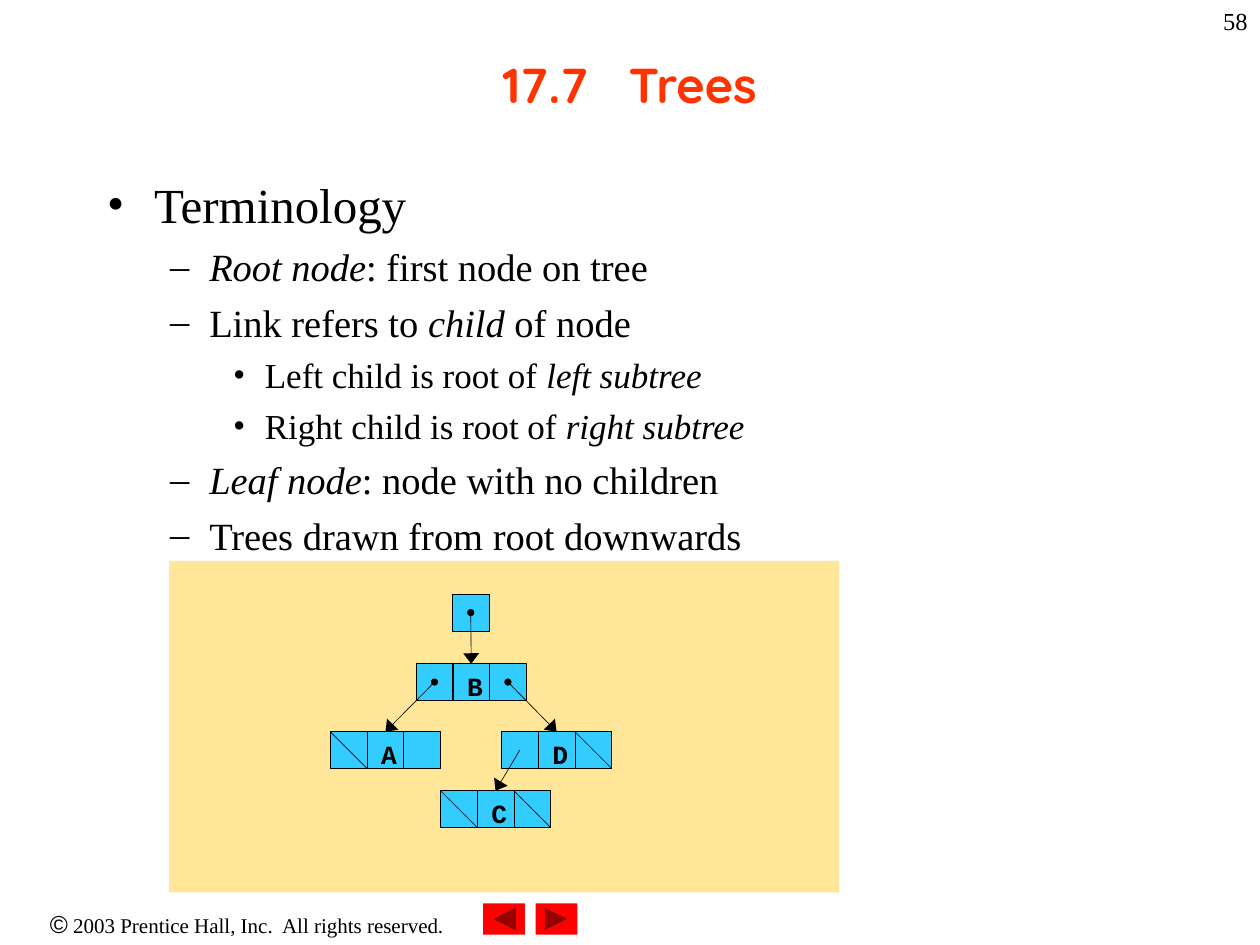
from dataclasses import dataclass
from math import hypot

from lxml.etree import SubElement
from pptx import Presentation
from pptx.dml.color import RGBColor as Color
from pptx.enum.shapes import MSO_CONNECTOR as Connector, MSO_SHAPE as Preset
from pptx.enum.text import MSO_ANCHOR as Anchor, MSO_AUTO_SIZE as AutoSize, PP_ALIGN as Align
from pptx.oxml.ns import qn
from pptx.util import Cm, Pt


@dataclass(frozen=True)
class Theme:
    black: Color = Color.from_string("000000")
    title: Color = Color.from_string("FF3300")
    panel: Color = Color.from_string("FFE699")
    cell: Color = Color.from_string("33CCFF")
    button: Color = Color.from_string("FF0000")
    serif: str = "Times New Roman"
    sans: str = "Arial"
    heading: str = "Quicksand"
    code: str = "Courier New"
    title_size: float = 28
    label_size: float = 15
    note_size: float = 14
    small_size: float = 12
    hairline: float = 0.37


@dataclass(frozen=True)
class Level:
    bullet: str
    margin: float
    hanging: float
    size: float
    space: float


@dataclass(frozen=True)
class TreeNode:
    """Three cells: left link, label, right link ("dot", "slash" or "")."""
    label: str
    left: float
    top: float
    links: tuple[str, str]


THEME = Theme()
CELL, DOT = 0.74, 0.13
HEAD_LENGTH, HEAD_HALF = 0.21, 0.16
LEVELS = (
    Level("•", 0.95, 0.95, 28, 0),
    Level("–", 2.06, 0.79, 22, 5.5),
    Level("•", 3.18, 0.64, 20, 5),
)
# Each line: level, then (text, italic) runs
OUTLINE = (
    (0, [("Terminology", False)]),
    (1, [("Root node", True), (": first node on tree", False)]),
    (1, [("Link refers to ", False), ("child", True), (" of node", False)]),
    (2, [("Left child is root of ", False), ("left subtree", True)]),
    (2, [("Right child is root of ", False), ("right subtree", True)]),
    (1, [("Leaf node", True), (": node with no children", False)]),
    (1, [("Trees drawn from root downwards", False)]),
)
ROOT_POINTER = (9.12, 11.98)
NODES = (
    TreeNode("B", 8.39, 13.38, ("dot", "dot")),
    TreeNode("A", 6.66, 14.75, ("slash", "")),
    TreeNode("D", 10.11, 14.75, ("", "slash")),
    TreeNode("C", 8.88, 15.94, ("slash", "slash")),
)
# Parent, side of its link cell, child
LINKS = (("B", 0, "A"), ("B", 2, "D"), ("D", 0, "C"))


def add_run(paragraph, text: str, font: str, size: float, color: Color = THEME.black,
            bold: bool = False, italic: bool = False) -> None:
    run = paragraph.add_run()
    run.text = text
    run.font.name, run.font.size = font, Pt(size)
    run.font.bold, run.font.italic = bold, italic
    run.font.color.rgb = color


def add_text_box(shapes, left: float, top: float, width: float, height: float,
                 align: Align, wrap: bool = True):
    box = shapes.add_textbox(Cm(left), Cm(top), Cm(width), Cm(height))
    box.text_frame.word_wrap = wrap
    box.text_frame.paragraphs[0].alignment = align
    return box.text_frame


def add_block(shapes, preset: Preset, left: float, top: float, width: float, height: float,
              fill: Color, outlined: bool = False):
    shape = shapes.add_shape(preset, Cm(left), Cm(top), Cm(width), Cm(height))
    shape.shadow.inherit = False
    shape.fill.solid()
    shape.fill.fore_color.rgb = fill
    if outlined:
        shape.line.color.rgb = THEME.black
        shape.line.width = Pt(THEME.hairline)
    else:
        shape.line.fill.background()
    return shape


def add_line(shapes, start: tuple[float, float], end: tuple[float, float]):
    line = shapes.add_connector(Connector.STRAIGHT, *(Cm(value) for value in (*start, *end)))
    line.line.color.rgb = THEME.black
    line.line.width = Pt(THEME.hairline)
    SubElement(line._element.spPr, qn("a:effectLst"))
    return line


def add_cell(shapes, left: float, top: float, content: str = ""):
    cell = add_block(shapes, Preset.RECTANGLE, left, top, CELL, CELL, THEME.cell, outlined=True)
    if content == "dot":
        inset = (CELL - DOT) / 2
        add_block(shapes, Preset.OVAL, left + inset, top + inset, DOT, DOT, THEME.black, outlined=True)
    elif content == "slash":
        add_line(shapes, (left, top), (left + CELL, top + CELL))
    return cell


def add_node(shapes, node: TreeNode):
    """Draw the three cells and return the middle one, where arrows arrive."""
    middle = add_cell(shapes, node.left + CELL, node.top)
    for column, content in zip((0, 2), node.links):
        add_cell(shapes, node.left + column * CELL, node.top, content)
    frame = add_text_box(shapes, node.left + CELL + 0.28, node.top + 0.14, 0.33, 0.64,
                         Align.CENTER, wrap=False)
    frame.margin_left = frame.margin_right = frame.margin_top = frame.margin_bottom = 0
    add_run(frame.paragraphs[0], node.label, THEME.code, THEME.label_size, bold=True)
    return middle


def add_arrow(shapes, link_left: float, link_top: float, target) -> None:
    """Arrow from the centre of a link cell to the top middle of the target cell."""
    start = (link_left + CELL / 2, link_top + CELL / 2)
    tip = (target.left.cm + CELL / 2, target.top.cm)
    add_line(shapes, start, tip).end_connect(target, 0)
    length = hypot(tip[0] - start[0], tip[1] - start[1])
    along = ((tip[0] - start[0]) / length, (tip[1] - start[1]) / length)
    base = (tip[0] - HEAD_LENGTH * along[0], tip[1] - HEAD_LENGTH * along[1])
    corners = [(Cm(base[0] - side * HEAD_HALF * along[1]), Cm(base[1] + side * HEAD_HALF * along[0]))
               for side in (-1, 1)]
    builder = shapes.build_freeform(Cm(tip[0]), Cm(tip[1]))
    builder.add_line_segments(corners, close=True)
    head = builder.convert_to_shape()
    head.shadow.inherit = False
    head.fill.solid()
    head.fill.fore_color.rgb = THEME.black
    head.line.fill.background()


def add_outline(shapes) -> None:
    frame = add_text_box(shapes, 1.91, 3.39, 21.59, 14.6, Align.LEFT)
    frame.margin_top = Cm(0.13)
    for index, (depth, runs) in enumerate(OUTLINE):
        level = LEVELS[depth]
        paragraph = frame.add_paragraph() if index else frame.paragraphs[0]
        properties = paragraph._p.get_or_add_pPr()
        properties.set("marL", str(Cm(level.margin)))
        properties.set("indent", str(-Cm(level.hanging)))
        SubElement(properties, qn("a:buFont"), typeface=THEME.serif)
        SubElement(properties, qn("a:buChar"), char=level.bullet)
        paragraph.level = depth
        paragraph.space_before = Pt(level.space)
        for text, italic in runs:
            add_run(paragraph, text, THEME.serif, level.size, italic=italic)


def add_title(slide) -> None:
    title = slide.shapes.title
    title.left, title.top, title.width, title.height = Cm(1.9), Cm(0.21), Cm(21.59), Cm(2.96)
    frame = title.text_frame
    frame.auto_size, frame.vertical_anchor = AutoSize.NONE, Anchor.MIDDLE
    paragraph = frame.paragraphs[0]
    tabs = SubElement(paragraph._p.get_or_add_pPr(), qn("a:tabLst"))
    for stop in range(1, 8):
        SubElement(tabs, qn("a:tab"), pos=str(Cm(2.54 * stop)), algn="l")
    paragraph.alignment = Align.CENTER
    add_run(paragraph, "17.7\tTrees", THEME.heading, THEME.title_size, THEME.title, bold=True)


def add_tree(slide) -> None:
    shapes = slide.shapes.add_group_shape().shapes
    add_block(shapes, Preset.RECTANGLE, 3.41, 11.31, 13.51, 6.68, THEME.panel)
    add_cell(shapes, *ROOT_POINTER, "dot")
    targets = {node.label: add_node(shapes, node) for node in NODES}
    places = {node.label: node for node in NODES}
    add_arrow(shapes, *ROOT_POINTER, targets["B"])
    for parent, column, child in LINKS:
        node = places[parent]
        add_arrow(shapes, node.left + column * CELL, node.top, targets[child])


def main() -> None:
    presentation = Presentation()
    presentation.slide_width, presentation.slide_height = Cm(25.4), Cm(19.05)
    slide = presentation.slides.add_slide(presentation.slide_layouts[5])
    # Footer: copyright and navigation buttons
    footer = add_text_box(slide.shapes, 0, 18.21, 9.96, 0.86, Align.CENTER).paragraphs[0]
    add_run(footer, "©", THEME.sans, THEME.note_size)
    add_run(footer, " 2003 Prentice Hall, Inc.  All rights reserved.", THEME.serif, THEME.small_size)
    for left, rotation in ((10.8, 0), (9.74, 180)):
        button = add_block(slide.shapes, Preset.ACTION_BUTTON_FORWARD_OR_NEXT,
                           left, 18.21, 0.84, 0.63, THEME.button)
        button.rotation = rotation
    # Main content
    add_title(slide)
    add_outline(slide.shapes)
    add_tree(slide)
    # Page number
    number = add_text_box(slide.shapes, 20.12, 0, 5.28, 1.27, Align.RIGHT).paragraphs[0]
    add_run(number, "58", THEME.serif, THEME.note_size)
    presentation.save("out.pptx")


if __name__ == "__main__":
    main()
